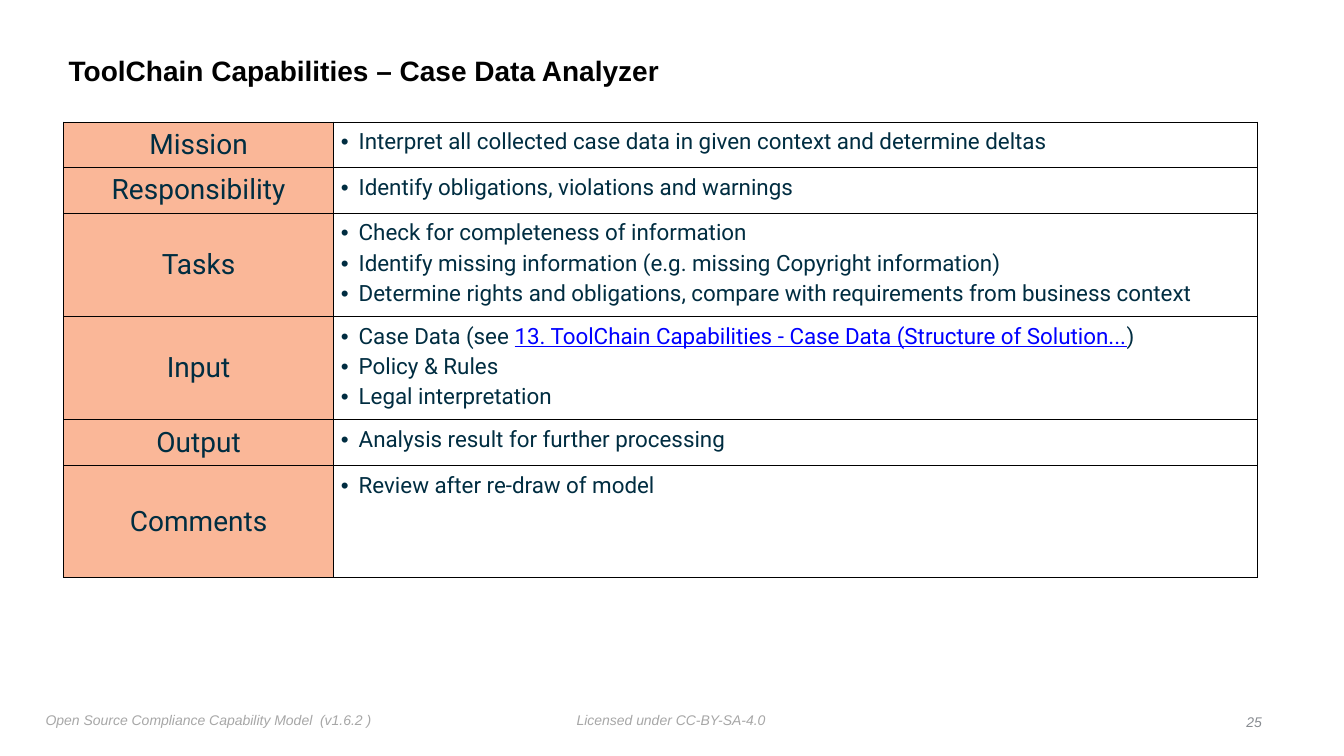
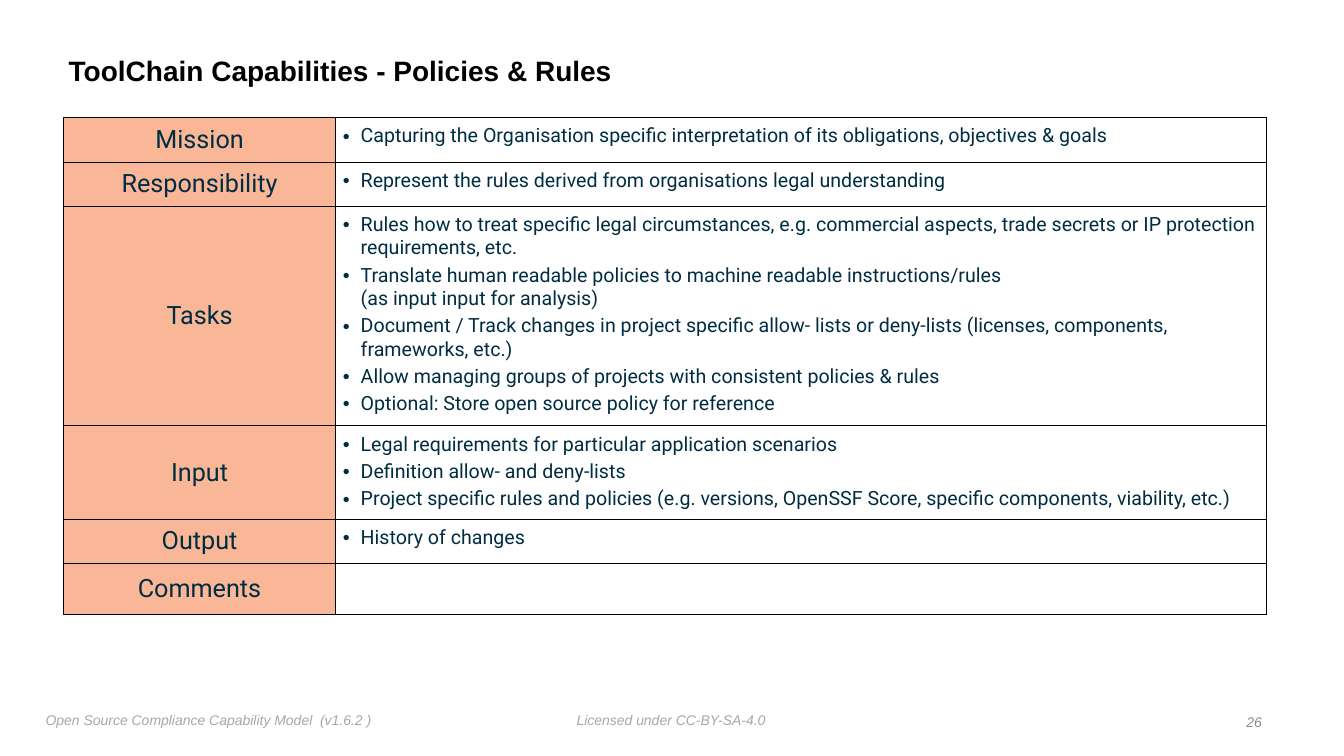
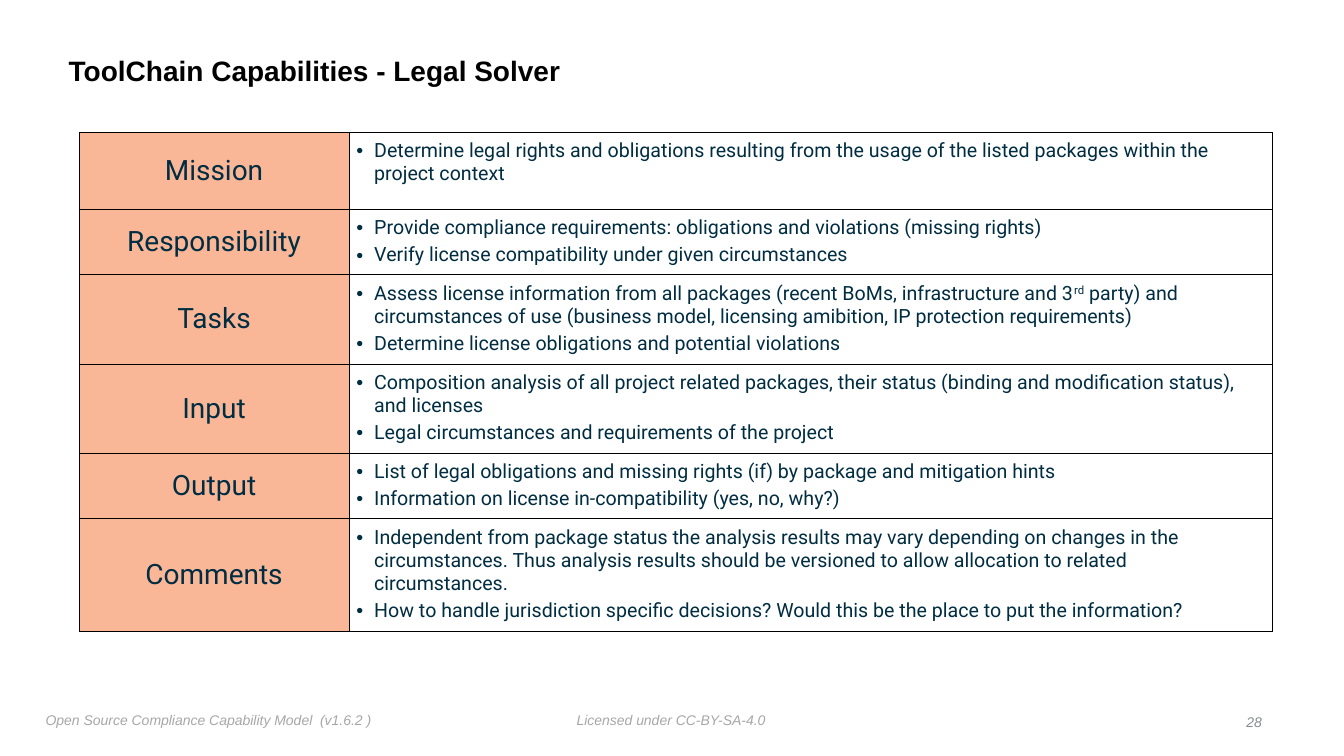
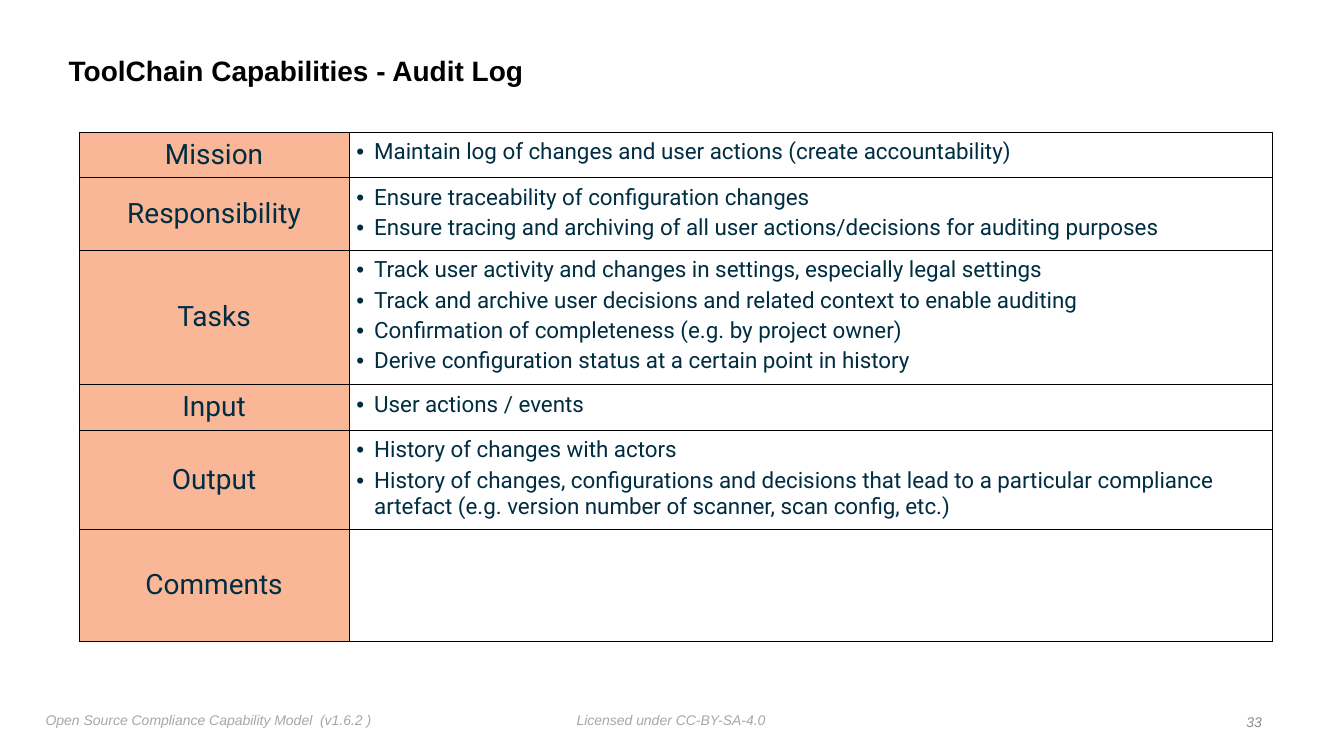
from lxml import etree
from pptx import Presentation
from pptx.dml.color import RGBColor
from pptx.enum.text import MSO_ANCHOR, MSO_AUTO_SIZE, PP_ALIGN
from pptx.oxml.ns import qn
from pptx.util import Cm, Pt

LEFT, CENTER, RIGHT = PP_ALIGN.LEFT, PP_ALIGN.CENTER, PP_ALIGN.RIGHT
TOP, MIDDLE = MSO_ANCHOR.TOP, MSO_ANCHOR.MIDDLE
NO_FIT, GROW = MSO_AUTO_SIZE.NONE, MSO_AUTO_SIZE.SHAPE_TO_FIT_TEXT

COLORS = {
    "title": "000000",
    "text": "002D41",
    "link": "0000FF",
    "label": "FAB798",
    "border": "000000",
    "foot": "A7A7A7",
    "number": "888C91",
}
HEAD, BODY = "Arial", "Roboto"
LABELS = ["Mission", "Responsibility", "Tasks", "Input", "Output", "Comments"]


def color(name):
    return RGBColor.from_string(COLORS[name])


class Deck:
    """Holds the style and the current slide."""

    def __init__(self):
        self.prs = Presentation()
        self.prs.slide_width, self.prs.slide_height = Cm(33.87), Cm(19.05)
        self.layout = self.prs.slide_layouts[5]
        self.slide = None

    # Text
    def run(self, par, text, size, font=BODY, tint="text", bold=None,
            italic=None, under=None, base=None):
        for i, line in enumerate(text.split("\n")):
            if i:
                par.add_line_break()
            run = par.add_run()
            run.text = line
            face = run.font
            face.name, face.size = font, Pt(size)
            face.bold, face.italic, face.underline = bold, italic, under
            face.color.rgb = color(tint)
            if base:
                run._r.get_or_add_rPr().set("baseline", str(base * 1000))

    def inset(self, item, gap):
        item.margin_left = item.margin_right = Cm(gap)
        item.margin_top = item.margin_bottom = Cm(gap)

    def bullet(self, par):
        props = par._p.get_or_add_pPr()
        props.set("marL", str(Cm(0.45)))
        props.set("indent", str(-Cm(0.45)))
        etree.SubElement(props, qn("a:buFont"), typeface=HEAD)
        etree.SubElement(props, qn("a:buChar"), char="•")

    # Slide, title and footer
    def add(self, title, number):
        first = self.slide is None
        if first:
            for item in list(self.layout.placeholders)[1:]:
                item.element.getparent().remove(item.element)
        self.slide = self.prs.slides.add_slide(self.layout)
        self.title(title)
        if first:
            self.share()
        self.note(str(number), 31.24, 17.86, 0.69, "number", RIGHT, MIDDLE)

    def title(self, text):
        shape = self.slide.shapes.title
        shape.left, shape.top = Cm(1.6), Cm(0.99)
        shape.width, shape.height = Cm(27.3), Cm(1.65)
        frame = shape.text_frame
        frame.auto_size, frame.word_wrap = NO_FIT, True
        frame.vertical_anchor = MIDDLE
        self.inset(frame, 0.13)
        par = frame.paragraphs[0]
        par.alignment, par.line_spacing = LEFT, 0.9
        self.run(par, text, 20, HEAD, "title", bold=True)

    def note(self, text, left, top, width, tint="foot", align=LEFT, anchor=TOP):
        box = self.slide.shapes.add_textbox(Cm(left), Cm(top), Cm(width), Cm(0.64))
        frame = box.text_frame
        frame.word_wrap, frame.auto_size = False, GROW
        frame.vertical_anchor = anchor
        self.inset(frame, 0.13)
        par = frame.paragraphs[0]
        par.alignment = align
        self.run(par, text, 10, HEAD, tint, italic=True)
        return box

    def share(self):
        """Place the common footer on the layout."""
        for text, left, width in [
            ("Licensed under CC-BY-SA-4.0", 14.4, 5.05),
            ("Open Source Compliance Capability Model  (v1.6.2 )", 1.02, 8.66),
        ]:
            box = self.note(text, left, 17.81, width)
            self.layout.shapes.element.append(box.element)

    # Table
    def border(self, cell):
        props = cell._tc.get_or_add_tcPr()
        for i, side in enumerate(["lnL", "lnR", "lnT", "lnB"]):
            line = etree.Element(qn("a:" + side), w=str(Pt(0.5)))
            fill = etree.SubElement(line, qn("a:solidFill"))
            etree.SubElement(fill, qn("a:srgbClr"), val=COLORS["border"])
            props.insert(i, line)

    def label(self, cell, text, size):
        cell.fill.solid()
        cell.fill.fore_color.rgb = color("label")
        cell.vertical_anchor = MIDDLE
        self.inset(cell, 0)
        par = cell.text_frame.paragraphs[0]
        par.alignment = CENTER
        self.run(par, text, size)

    def points(self, cell, items, size):
        cell.fill.background()
        self.inset(cell, 0.18)
        frame = cell.text_frame
        for i, item in enumerate(items):
            par = frame.add_paragraph() if i else frame.paragraphs[0]
            self.bullet(par)
            if i:
                par.space_before = Pt(3)
            runs = [(item, {})] if isinstance(item, str) else item
            for text, style in runs:
                self.run(par, text, size, **style)

    def table(self, left, top, cols, rows, sizes, facts):
        shape = self.slide.shapes.add_table(
            len(rows), 2, Cm(left), Cm(top), Cm(sum(cols)), Cm(sum(rows)))
        grid = shape.table
        grid.first_row = grid.horz_banding = False
        for col, width in zip(grid.columns, cols):
            col.width = Cm(width)
        for row, height, name, items in zip(grid.rows, rows, LABELS, facts):
            row.height = Cm(height)
            self.label(row.cells[0], name, sizes[0])
            self.points(row.cells[1], items, sizes[1])
            for cell in row.cells:
                self.border(cell)


def main():
    deck = Deck()
    cols = [6.81, 23.27]

    # Case data analyzer
    deck.add("ToolChain Capabilities – Case Data Analyzer", 25)
    deck.table(1.6, 3.07, cols, [1.15, 1.15, 2.55, 2.55, 1.15, 2.83], (20, 16), [
        ["Interpret all collected case data in given context and determine deltas"],
        ["Identify obligations, violations and warnings"],
        ["Check for completeness of information",
         "Identify missing information (e.g. missing Copyright information)",
         "Determine rights and obligations, compare with requirements from business context"],
        [[("Case Data (see ", {}),
          ("13. ToolChain Capabilities - Case Data (Structure of Solution...",
           {"tint": "link", "under": True}),
          (")", {})],
         "Policy & Rules",
         "Legal interpretation"],
        ["Analysis result for further processing"],
        ["Review after re-draw of model"],
    ])

    # Policies and rules
    deck.add("ToolChain Capabilities - Policies & Rules", 26)
    deck.table(1.6, 2.96, [6.86, 23.46], [1.12, 1.12, 5.47, 2.32, 1.12, 1.29], (18, 14), [
        ["Capturing the Organisation specific interpretation of its obligations, "
         "objectives & goals"],
        ["Represent the rules derived from organisations legal understanding"],
        ["Rules how to treat specific legal circumstances, e.g. commercial aspects, "
         "trade secrets or IP protection requirements, etc.",
         "Translate human readable policies to machine readable instructions/rules\n"
         "(as input input for analysis)",
         "Document / Track changes in project specific allow- lists or deny-lists "
         "(licenses, components, frameworks, etc.)",
         "Allow managing groups of projects with consistent policies & rules",
         "Optional: Store open source policy for reference"],
        ["Legal requirements for particular application scenarios",
         "Definition allow- and deny-lists",
         "Project specific rules and policies (e.g. versions, OpenSSF Score, "
         "specific components, viability, etc.)"],
        ["History of changes"],
        [],
    ])

    # Legal solver
    deck.add("ToolChain Capabilities - Legal Solver", 28)
    deck.table(1.99, 3.33, cols, [1.94, 1.62, 2.22, 2.22, 1.62, 2.82], (20, 14), [
        ["Determine legal rights and obligations resulting from the usage of the "
         "listed packages within the project context"],
        ["Provide compliance requirements: obligations and violations (missing rights)",
         "Verify license compatibility under given circumstances"],
        [[("Assess license information from all packages (recent BoMs, "
           "infrastructure and 3", {}),
          ("rd", {"base": 30}),
          (" party) and circumstances of use (business model, licensing amibition, "
           "IP protection requirements)", {})],
         "Determine license obligations and potential violations"],
        ["Composition analysis of all project related packages, their status "
         "(binding and modification status), and licenses",
         "Legal circumstances and requirements of the project"],
        ["List of legal obligations and missing rights (if) by package and mitigation hints",
         "Information on license in-compatibility (yes, no, why?)"],
        ["Independent from package status the analysis results may vary depending on "
         "changes in the circumstances. Thus analysis results should be versioned to "
         "allow allocation to related circumstances.",
         "How to handle jurisdiction specific decisions? Would this be the place to "
         "put the information?"],
    ])

    # Audit log
    deck.add("ToolChain Capabilities - Audit Log", 33)
    deck.table(1.99, 3.33, cols, [1.15, 1.77, 3.31, 1.15, 2.45, 2.82], (20, 16), [
        ["Maintain log of changes and user actions (create accountability)"],
        ["Ensure traceability of configuration changes",
         "Ensure tracing and archiving of all user actions/decisions for auditing purposes"],
        ["Track user activity and changes in settings, especially legal settings",
         "Track and archive user decisions and related context to enable auditing",
         "Confirmation of completeness (e.g. by project owner)",
         "Derive configuration status at a certain point in history"],
        ["User actions / events"],
        ["History of changes with actors",
         "History of changes, configurations and decisions that lead to a particular "
         "compliance artefact (e.g. version number of scanner, scan config, etc.)"],
        [],
    ])

    deck.prs.save("out.pptx")


if __name__ == "__main__":
    main()
